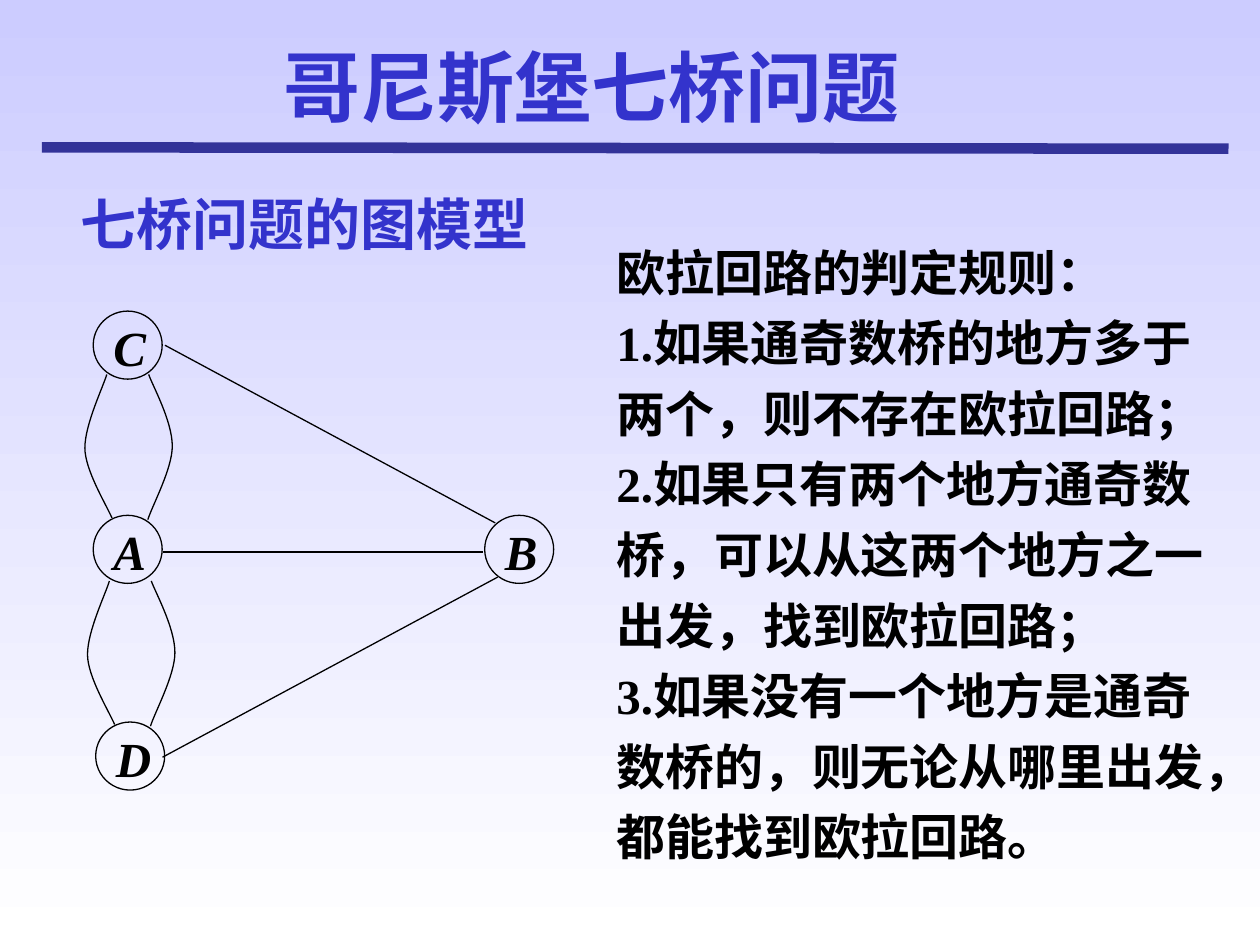
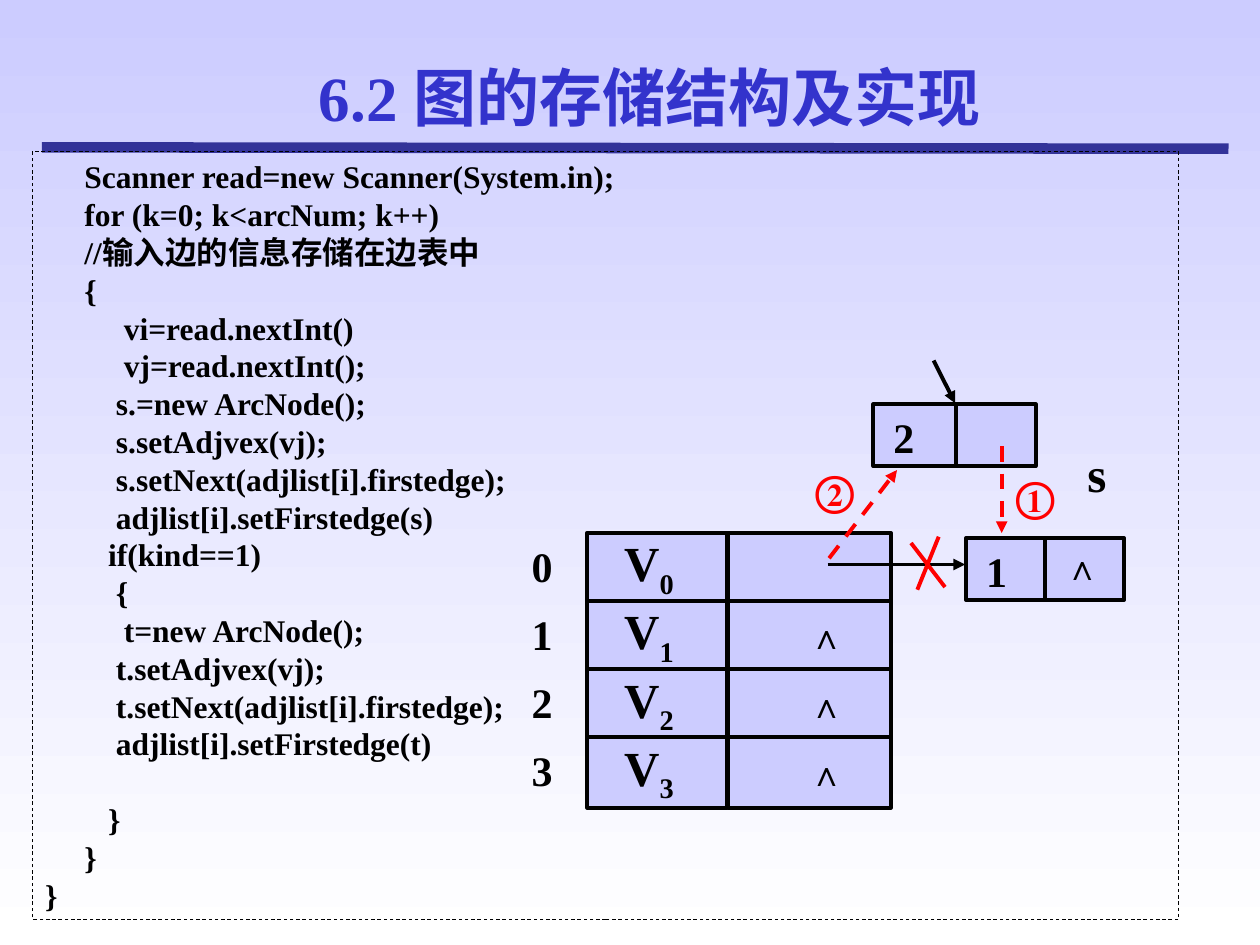
import pptx
import pptx.dml.color
import pptx.enum.dml
import pptx.enum.shapes
import pptx.enum.text
import pptx.oxml.ns
import pptx.util
from lxml import etree

Pt = pptx.util.Pt
qn = pptx.oxml.ns.qn
SHAPE = pptx.enum.shapes.MSO_SHAPE
ALIGN = pptx.enum.text.PP_ALIGN
ANCHOR = pptx.enum.text.MSO_ANCHOR
DASH = pptx.enum.dml.MSO_LINE.DASH

FONT = "Times New Roman"
BLACK, RED, BLUE, NAVY, LILAC = "000000", "FF0000", "3333CC", "333399", "CCCCFF"


def solid(fill, color):
    fill.solid()
    fill.fore_color.rgb = pptx.dml.color.RGBColor.from_string(color)


def write(tf, text, size, color=BLACK, italic=False, left=0, top=0, right=0,
          spacing=1, align=ALIGN.LEFT, anchor=ANCHOR.TOP, sub=""):
    tf.word_wrap = True
    tf.auto_size = pptx.enum.text.MSO_AUTO_SIZE.NONE
    tf.vertical_anchor = anchor
    tf.margin_left, tf.margin_top = Pt(left), Pt(top)
    tf.margin_right, tf.margin_bottom = Pt(right), Pt(0)
    for i, line_text in enumerate(text.split("\n")):
        p = tf.paragraphs[0] if i == 0 else tf.add_paragraph()
        pPr = p._p.get_or_add_pPr()
        pPr.set("marL", "0")
        pPr.set("indent", "0")
        etree.SubElement(pPr, qn("a:buNone"))
        p.alignment = align
        p.line_spacing = spacing
        p.space_before = Pt(0)
        for part in filter(None, (line_text, sub)):
            r = p.add_run()
            r.text = part
            r.font.name, r.font.size = FONT, Pt(size)
            r.font.bold, r.font.italic = True, italic
            solid(r.font.fill, color)
        if sub:
            r.font._element.set("baseline", "-25000")


prs = pptx.Presentation()
prs.slide_width, prs.slide_height = Pt(720), Pt(540)
bg = prs.slide_master.background.fill
bg.gradient()
bg.gradient_angle = 270
for stop, color in zip(bg.gradient_stops, (LILAC, "FFFFFF")):
    stop.color.rgb = pptx.dml.color.RGBColor.from_string(color)

bridges = prs.slides.add_slide(prs.slide_layouts[1])
storage = prs.slides.add_slide(prs.slide_layouts[5])

for s, text, size, align, x, y, w, h in (
        (bridges, "哥尼斯堡七桥问题", 44, ALIGN.CENTER, 131, 22, 414, 54),
        (storage, "6.2 图的存储结构及实现", 36, ALIGN.LEFT, 175, 30, 402, 50)):
    title = s.shapes.title
    title.left, title.top, title.width, title.height = Pt(x), Pt(y), Pt(w), Pt(h)
    write(title.text_frame, text, size, BLUE, left=7.2, right=7.2,
          align=align, anchor=ANCHOR.MIDDLE)

fill = storage.shapes.title.text_frame.paragraphs[0].runs[0].font._element.find(qn("a:solidFill"))
effects = etree.Element(qn("a:effectLst"))
shadow = etree.SubElement(effects, qn("a:outerShdw"), dist="38100", dir="2700000")
etree.SubElement(shadow, qn("a:srgbClr"), val="808080")
fill.addnext(effects)

rules = bridges.placeholders[1]
rules.left, rules.top, rules.width, rules.height = Pt(345), Pt(128), Pt(369), Pt(370)
write(rules.text_frame, """欧拉回路的判定规则：
1.如果通奇数桥的地方多于两个，则不存在欧拉回路；
2.如果只有两个地方通奇数桥，可以从这两个地方之一出发，找到欧拉回路；
3.如果没有一个地方是通奇数桥的，则无论从哪里出发，都能找到欧拉回路。""",
      28, left=7.2, top=3.6, right=7.2, spacing=1.2)

code = """     Scanner read=new Scanner(System.in);
     for (k=0; k<arcNum; k++)
     //输入边的信息存储在边表中
     {
          vi=read.nextInt()
          vj=read.nextInt();
         s.=new ArcNode();
         s.setAdjvex(vj);
         s.setNext(adjlist[i].firstedge);
         adjlist[i].setFirstedge(s)
        if(kind==1)
         {
          t=new ArcNode();
         t.setAdjvex(vj);
         t.setNext(adjlist[i].firstedge);
         adjlist[i].setFirstedge(t)
        }
     }
}"""

plain = dict(size=24)
cell = dict(size=24, left=11.5, top=4.3)
null = dict(size=20, left=11.5, top=4.3)
boxes = [(storage, SHAPE.RECTANGLE, 18.7, 86.4, 655, 439, None, 0.5, code,
          dict(size=18, left=7.2, top=3.6))]
for name, x, y in (("C", 53.3, 177.8), ("A", 53.3, 294.5), ("D", 54.7, 412.6), ("B", 277, 294.5)):
    boxes.append((bridges, SHAPE.OVAL, x, y, 39.4, 38.9, None, 0.75, name,
                  dict(size=28, italic=True, left=5.8, top=4.3, spacing=0.8)))
for i in range(4):
    y = 304.5 + 38.9 * i
    boxes.append((storage, SHAPE.RECTANGLE, 335.5, y, 80, 40.3, LILAC, 2.25, "V",
                  dict(size=28, left=21.2, sub=str(i))))
    boxes.append((storage, SHAPE.RECTANGLE, 416, y, 93, 40.3, LILAC, 2.25,
                  "∧" if i else "", dict(size=20, left=46.3, top=8)))
boxes += [
    (storage, SHAPE.RECTANGLE, 552, 307.5, 51, 35.3, LILAC, 2.25, "1", cell),
    (storage, SHAPE.RECTANGLE, 597, 307.5, 45.4, 35.3, LILAC, 2.25, "∧", null),
    (storage, SHAPE.RECTANGLE, 499, 231, 51, 35.3, LILAC, 2.25, "2", cell),
    (storage, SHAPE.RECTANGLE, 546.5, 231, 45.4, 35.3, LILAC, 2.25, "", cell),
    (bridges, None, 37.4, 103.7, 349, 40, None, 0, "七桥问题的图模型",
     dict(size=32, color=BLUE, left=8.6, top=4.3)),
    (storage, None, 621.4, 253.4, 24, 32, None, 0, "s", dict(size=28)),
    (storage, None, 303.8, 298.8, 23, 160, None, 0, "0\n1\n2\n3", dict(size=24, spacing=1.35)),
    (storage, None, 580.3, 268.6, 24, 32, None, 0, "①", dict(size=24, color=RED)),
    (storage, None, 465.8, 265.7, 24, 33, None, 0, "②", dict(size=24, color=RED)),
]
for s, kind, x, y, w, h, color, width, text, style in boxes:
    place = Pt(x), Pt(y), Pt(w), Pt(h)
    if kind is None:
        sp = s.shapes.add_textbox(*place)
    else:
        sp = s.shapes.add_shape(kind, *place)
        sp.shadow.inherit = False
        if color:
            solid(sp.fill, color)
        else:
            sp.fill.background()
        solid(sp.line.fill, BLACK)
        sp.line.width = Pt(width)
    if text:
        write(sp.text_frame, text, **style)
    if text == code:
        sp.line.dash_style = DASH
        sp.text_frame.paragraphs[-3].space_before = Pt(21.6)

left_bridge = [(61, 214), (59, 221), (48.5, 242.5), (48.5, 256), (48.5, 268.5), (60.5, 288), (64, 296)]
right_bridge = [(85, 214), (87, 220), (98.5, 240.5), (98.5, 255), (98.5, 268), (87, 289), (84.5, 297)]
for dx, dy in ((0, 0), (1.5, 118)):
    for bridge in (left_bridge, right_bridge):
        points = [(Pt(x + dx), Pt(y + dy)) for x, y in bridge]
        fb = bridges.shapes.build_freeform(*points[0])
        fb.add_line_segments(points[1:], close=False)
        sp = fb.convert_to_shape()
        sp.shadow.inherit = False
        sp.fill.background()
        solid(sp.line.fill, BLACK)
        sp.line.width = Pt(0.75)
        outline = next(sp.element.iter(qn("a:path")))
        for i, segment in enumerate(outline.findall(qn("a:lnTo"))):
            if i % 3 == 0:
                curve = etree.SubElement(outline, qn("a:cubicBezTo"))
            curve.append(segment[0])
            outline.remove(segment)

for s, x1, y1, x2, y2, color, width, dashed, arrow in (
        (bridges, 94.3, 197.3, 283, 298.8, BLACK, 0.75, False, False),
        (bridges, 92.9, 315.4, 275.8, 315.4, BLACK, 0.75, False, False),
        (bridges, 92.9, 432.7, 284.4, 329.8, BLACK, 0.75, False, False),
        (storage, 473, 322.6, 551.5, 322.6, BLACK, 2.25, False, True),
        (storage, 533.5, 206, 545.8, 230.4, BLACK, 2.25, False, True),
        (storage, 572.4, 255, 572.4, 304.6, RED, 2.25, True, True),
        (storage, 473.8, 319, 512.6, 268.6, RED, 2.25, True, True),
        (storage, 520.6, 310.3, 540, 335.5, RED, 2.25, False, False),
        (storage, 536.4, 306.7, 524.2, 337, RED, 2.25, False, False),
        (bridges, 24, 84.2, 702, 85, NAVY, 6, False, False)):
    line = s.shapes.add_connector(pptx.enum.shapes.MSO_CONNECTOR.STRAIGHT,
                                  Pt(x1), Pt(y1), Pt(x2), Pt(y2))
    solid(line.line.fill, color)
    line.line.width = Pt(width)
    if dashed:
        line.line.dash_style = DASH
    spPr = line.element.spPr
    if arrow:
        etree.SubElement(spPr.find(qn("a:ln")), qn("a:tailEnd"), type="triangle")
    etree.SubElement(spPr, qn("a:effectLst"))
    if color == NAVY:
        prs.slide_master.shapes.element.append(line.element)

prs.save("out.pptx")
